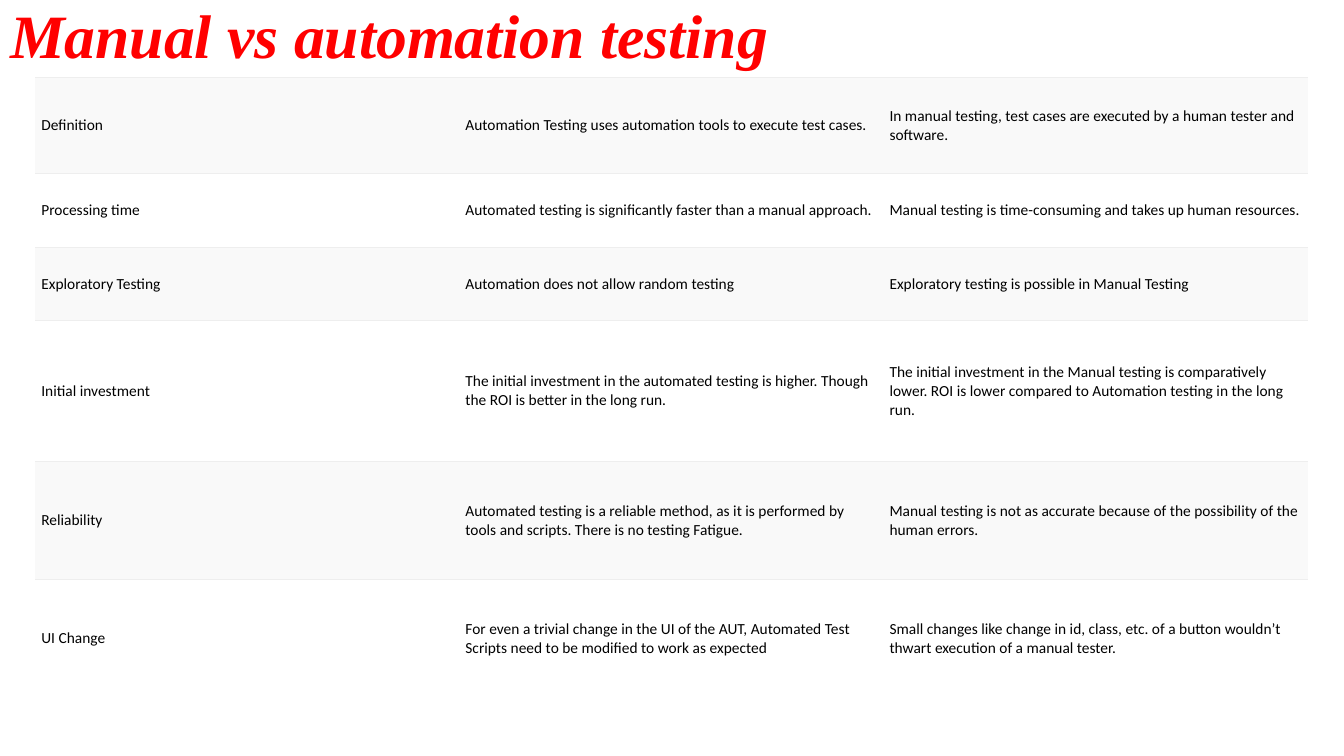
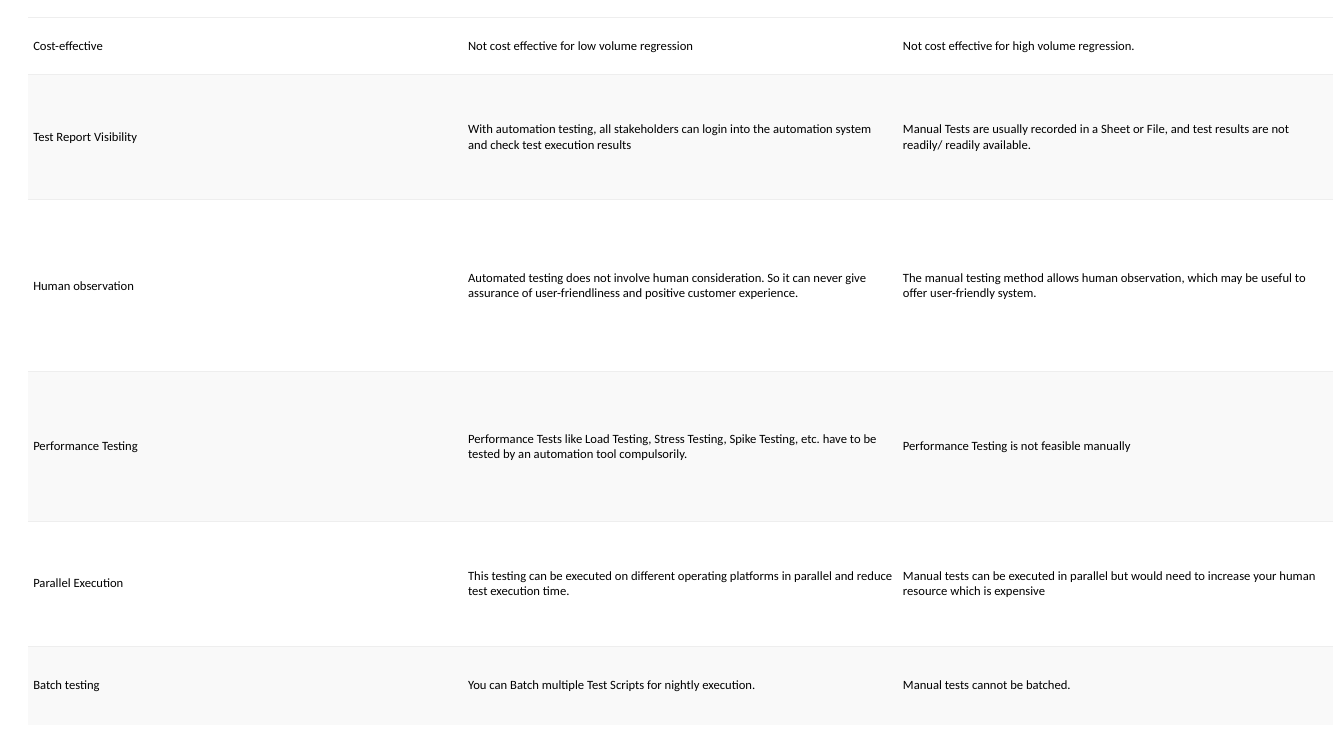
import pptx
import pptx.util
import pptx.dml.color
import pptx.enum.text
import pptx.oxml
import pptx.oxml.ns

Inches = pptx.util.Inches
Pt = pptx.util.Pt

# Shared look
RED, BLACK, WHITE, STRIPE, RULE = "FF0000", "000000", "FFFFFF", "F9F9F9", "EEEEEE"
RULE_WIDTH = 0.75
TITLE_FONT = {"name": "Times New Roman", "size": Pt(44), "bold": True, "italic": True}
TITLE_BOX = (0, 0, 13.33, 0.77)
TITLE_ONLY, BLANK = 5, 6

# Feature, automation testing, manual testing
BASICS = [
    ("Definition",
     "Automation Testing uses automation tools to execute test cases.",
     "In manual testing, test cases are executed by a human tester and software."),
    ("Processing time",
     "Automated testing is significantly faster than a manual approach.",
     "Manual testing is time-consuming and takes up human resources."),
    ("Exploratory Testing",
     "Automation does not allow random testing",
     "Exploratory testing is possible in Manual Testing"),
    ("Initial investment",
     "The initial investment in the automated testing is higher. "
     "Though the ROI is better in the long run.",
     "The initial investment in the Manual testing is comparatively lower. "
     "ROI is lower compared to Automation testing in the long run."),
    ("Reliability",
     "Automated testing is a reliable method, as it is performed by tools and scripts. "
     "There is no testing Fatigue.",
     "Manual testing is not as accurate because of the possibility of the human errors."),
    ("UI Change",
     "For even a trivial change in the UI of the AUT, Automated Test Scripts "
     "need to be modified to work as expected",
     "Small changes like change in id, class, etc. of a button wouldn’t "
     "thwart execution of a manual tester."),
]
PRACTICE = [
    ("Cost-effective",
     "Not cost effective for low volume regression",
     "Not cost effective for high volume regression."),
    ("Test Report Visibility",
     "With automation testing, all stakeholders can login into the automation system "
     "and check test execution results",
     "Manual Tests are usually recorded in a Sheet or File, and test results "
     "are not readily/ readily available."),
    ("Human observation",
     "Automated testing does not involve human consideration. So it can never give "
     "assurance of user-friendliness and positive customer experience.",
     "The manual testing method allows human observation, which may be useful "
     "to offer user-friendly system."),
    ("Performance Testing",
     "Performance Tests like Load Testing, Stress Testing, Spike Testing, etc. "
     "have to be tested by an automation tool compulsorily.",
     "Performance Testing is not feasible manually"),
    ("Parallel Execution",
     "This testing can be executed on different operating platforms in parallel "
     "and reduce test execution time.",
     "Manual tests can be executed in parallel but would need to increase "
     "your human resource which is expensive"),
    ("Batch testing",
     "You can Batch multiple Test Scripts for nightly execution.",
     "Manual tests cannot be batched."),
]


def rgb(color):
    return pptx.dml.color.RGBColor.from_string(color)


def set_format(target, values):
    for name, value in values.items():
        setattr(target, name, value)


def set_borders(cell, **colors):
    """Draw the named sides (T, B) and clear the others."""
    tc_pr = cell._tc.get_or_add_tcPr()
    for i, side in enumerate("LRTB"):
        color = colors.get(side)
        paint = (f'<a:solidFill><a:srgbClr val="{color}"/></a:solidFill>'
                 if color else "<a:noFill/>")
        tc_pr.insert(i, pptx.oxml.parse_xml(
            f'<a:ln{side} {pptx.oxml.ns.nsdecls("a")} w="{Pt(RULE_WIDTH)}">'
            f"{paint}</a:ln{side}>"))


def add_title(slide, text, box):
    sp = slide.shapes.title
    set_format(sp, dict(zip(("left", "top", "width", "height"), map(Inches, box))))
    tf = sp.text_frame
    set_format(tf, {"text": text, "word_wrap": True,
                    "auto_size": pptx.enum.text.MSO_AUTO_SIZE.NONE,
                    "vertical_anchor": pptx.enum.text.MSO_ANCHOR.MIDDLE})
    p = tf.paragraphs[0]
    set_format(p, {"alignment": pptx.enum.text.PP_ALIGN.LEFT, "line_spacing": 0.9})
    set_format(p.font, TITLE_FONT)
    p.font.color.rgb = rgb(RED)


def fill_cell(cell, text, fill, size, inset_x, inset_y):
    set_format(cell, {"text": text,
                      "vertical_anchor": pptx.enum.text.MSO_ANCHOR.MIDDLE,
                      "margin_left": Inches(inset_x), "margin_right": Inches(inset_x),
                      "margin_top": Inches(inset_y), "margin_bottom": Inches(inset_y)})
    cell.fill.solid()
    cell.fill.fore_color.rgb = rgb(fill)
    font = cell.text_frame.paragraphs[0].runs[0].font
    set_format(font, {"name": "Calibri", "size": Pt(size)})
    font.color.rgb = rgb(BLACK)


def add_comparison(slide, rows, left, top, width, heights, fills, size, insets):
    """Striped table with equal columns and a rule above each row."""
    columns = len(rows[0])
    table = slide.shapes.add_table(len(rows), columns, Inches(left), Inches(top),
                                   Inches(width), Inches(sum(heights))).table
    set_format(table, {"first_row": False, "horz_banding": False})
    for column in table.columns:
        column.width = Inches(width / columns)
    for i, (texts, height) in enumerate(zip(rows, heights)):
        table.rows[i].height = Inches(height)
        bottom = RULE if i < len(rows) - 1 else None
        for j, text in enumerate(texts):
            cell = table.cell(i, j)
            fill_cell(cell, text, fills[i % 2], size, *insets)
            set_borders(cell, T=RULE, B=bottom)


def main():
    prs = pptx.Presentation()
    set_format(prs, {"slide_width": Inches(13.33), "slide_height": Inches(7.5)})

    # Slide 1: title and first half of the comparison
    s = prs.slides.add_slide(prs.slide_layouts[TITLE_ONLY])
    add_title(s, "Manual vs automation testing", TITLE_BOX)
    add_comparison(s, BASICS, 0.35, 0.77, 12.62, [0.95, 0.73, 0.73, 1.4, 1.17, 1.17],
                   (STRIPE, WHITE), 11, (0.06, 0.03))

    # Slide 2: second half of the comparison
    s = prs.slides.add_slide(prs.slide_layouts[BLANK])
    add_comparison(s, PRACTICE, 0.28, 0.17, 12.94, [0.57, 1.24, 1.71, 1.48, 1.24, 0.78],
                   (WHITE, STRIPE), 9, (0.05, 0.02))

    prs.save("out.pptx")


if __name__ == "__main__":
    main()
